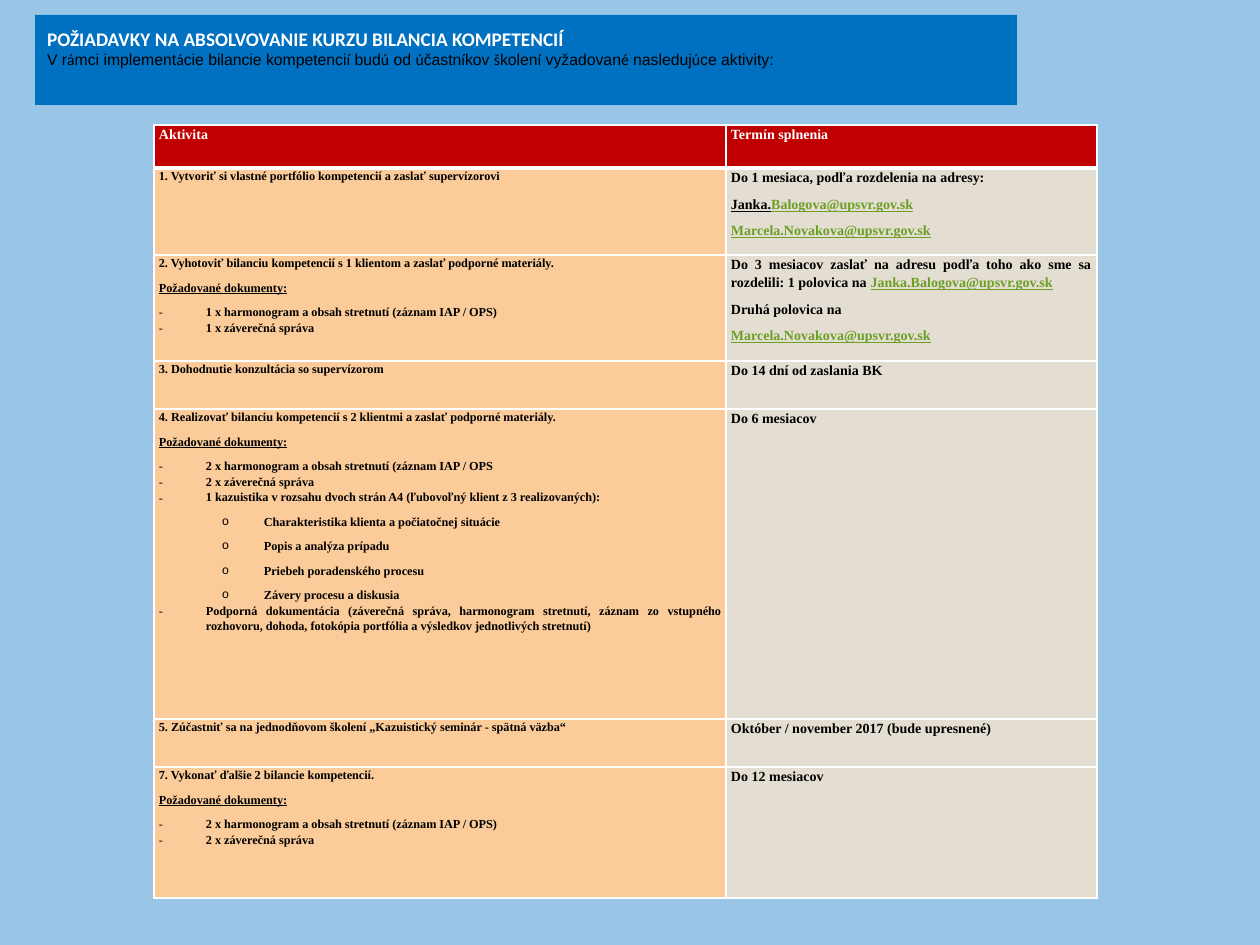
from dataclasses import dataclass
from itertools import groupby
from lxml import etree
from pptx import Presentation, util as u
from pptx.dml.color import RGBColor
from pptx.enum import text
from pptx.oxml.ns import qn


@dataclass(frozen=True)
class Theme:
    back: str = "99C6E6"
    bar: str = "0070C0"
    head: str = "C00000"
    task: str = "FBCC9A"
    term: str = "E3DED1"
    link: str = "6B9F25"
    white: str = "FFFFFF"
    black: str = "000000"
    serif: str = "Times New Roman"
    sans: str = "Arial"
    title: str = "Calibri"
    large: int = 11
    lead: int = 9
    mid: int = 8
    small: int = 7


def px(n):
    return u.Emu(round(n * 914400 / 126))


def tint(font, hue):
    font.color.rgb = RGBColor.from_string(hue)


def paint(fill, hue):
    fill.solid()
    fill.fore_color.rgb = RGBColor.from_string(hue)


def sub(node, tag, **atts):
    return etree.SubElement(node, qn(tag), atts)


class Deck:
    marks = {"-": (47, 47, "Times New Roman"), "o": (105, 42, "Courier New")}

    def __init__(self, theme):
        self.theme = theme
        self.file = Presentation()
        self.file.slide_width, self.file.slide_height = px(1260), px(945)
        self.slide = self.file.slides.add_slide(self.file.slide_layouts[5])
        paint(self.slide.background.fill, theme.back)

    def style(self, par, face, size, hue, bold):
        font = par.font
        font.name, font.size, font.bold = face, u.Pt(size), bold
        tint(font, hue)

    def title(self, box, head, lead):
        t = self.theme
        shape = self.slide.shapes.title
        shape.left, shape.top, shape.width, shape.height = map(px, box)
        paint(shape.fill, t.bar)
        frame = shape.text_frame
        frame.word_wrap = True
        frame.auto_size = text.MSO_AUTO_SIZE.NONE
        frame.vertical_anchor = text.MSO_ANCHOR.TOP
        frame.margin_left = frame.margin_right = frame.margin_top = px(12)
        frame.margin_bottom = 0
        first, second = frame.paragraphs[0], frame.add_paragraph()
        for par in (first, second):
            par.alignment = text.PP_ALIGN.LEFT
        self.style(first, t.title, t.large, t.white, True)
        first.add_run().text = head
        self.style(second, t.sans, t.lead, t.black, False)
        for mark, part in groupby(lead, lambda c: c in "áéíúš"):
            run = second.add_run()
            run.text = "".join(part)
            run.font.name = t.title if mark else t.sans

    def table(self, spot, cols, rows, data):
        t = self.theme
        grid = self.slide.shapes.add_table(
            len(rows), len(cols), *map(px, (*spot, sum(cols), sum(rows)))).table
        grid.horz_banding = False
        for col, wide in zip(grid.columns, cols):
            col.width = px(wide)
        for row, high in zip(grid.rows, rows):
            row.height = px(high)
        for r, line in enumerate(data):
            for c, pars in enumerate(line):
                hue = t.head if r == 0 else (t.task, t.term)[c]
                ink = t.white if r == 0 else t.black
                size = t.small if r and c == 0 else t.mid
                self.cell(grid.cell(r, c), pars, hue, ink, size, r)

    def cell(self, cell, pars, hue, ink, size, row):
        cell.margin_left = cell.margin_right = px(5)
        cell.margin_top = cell.margin_bottom = 0
        paint(cell.fill, hue)
        self.edge(cell, 3 if row == 1 else 1, 3 if row == 0 else 1)
        frame = cell.text_frame
        last = None
        for kind, *runs in pars:
            par = frame.add_paragraph() if last else frame.paragraphs[0]
            tight = last is None or (kind == "-" and last in self.marks)
            par.space_before = u.Pt(0 if tight else 5)
            par.line_spacing = 1.15
            par.alignment = text.PP_ALIGN.JUSTIFY
            if kind in self.marks:
                self.mark(par, kind)
            self.style(par, self.theme.serif, size, ink, True)
            for words in runs:
                run = par.add_run()
                run.text = words
                if "@" in words:
                    tint(run.font, self.theme.link)
                if kind == "u" or "@" in words:
                    run.font.underline = True
            last = kind

    def mark(self, par, sign):
        left, hang, face = self.marks[sign]
        prop = par._p.get_or_add_pPr()
        prop.set("marL", str(px(left)))
        prop.set("indent", str(-px(hang)))
        sub(prop, "a:buFont", typeface=face)
        sub(prop, "a:buChar", char=sign)

    def edge(self, cell, top, base):
        prop = cell._tc.get_or_add_tcPr()
        sides = (("L", 1), ("R", 1), ("T", top), ("B", base))
        for i, (side, wide) in enumerate(sides):
            line = sub(prop, "a:ln" + side, w=str(u.Pt(wide)))
            sub(sub(line, "a:solidFill"), "a:srgbClr", val=self.theme.white)
            prop.insert(i, line)


def plain(words):
    return [("t", words)]


def proof(count, tail=")"):
    return [
        ("u", "Požadované dokumenty:"),
        ("-", f"{count} x harmonogram a obsah stretnutí (záznam IAP / OPS{tail}"),
        ("-", f"{count} x záverečná správa"),
    ]


def main():
    marcela = "Marcela.Novakova@upsvr.gov.sk"
    topics = ("Charakteristika klienta a počiatočnej situácie",
              "Popis a analýza prípadu",
              "Priebeh poradenského procesu",
              "Závery procesu a diskusia")
    data = [
        (plain("Aktivita"), plain("Termín splnenia")),
        (plain("1. Vytvoriť si vlastné portfólio kompetencií a zaslať supervízorovi"),
         [("t", "Do 1 mesiaca, podľa rozdelenia na adresy:"),
          ("u", "Janka.", "Balogova@upsvr.gov.sk"),
          ("t", marcela)]),
        (plain("2. Vyhotoviť bilanciu kompetencií s 1 klientom a zaslať podporné materiály.")
         + proof(1),
         [("t", "Do 3 mesiacov zaslať na adresu podľa toho ako sme sa rozdelili: "
           "1 polovica na ", "Janka.Balogova@upsvr.gov.sk"),
          ("t", "Druhá polovica na"),
          ("t", marcela)]),
        (plain("3. Dohodnutie konzultácia so supervízorom"),
         plain("Do 14 dní od zaslania BK")),
        (plain("4. Realizovať bilanciu kompetencií s 2 klientmi a zaslať podporné materiály.")
         + proof(2, "")
         + [("-", "1 kazuistika v rozsahu dvoch strán A4 "
             "(ľubovoľný klient z 3 realizovaných):")]
         + [("o", topic) for topic in topics]
         + [("-", "Podporná dokumentácia (záverečná správa, harmonogram stretnutí, "
             "záznam zo vstupného rozhovoru, dohoda, fotokópia portfólia "
             "a výsledkov jednotlivých stretnutí)")],
         plain("Do 6 mesiacov")),
        (plain("5. Zúčastniť sa na jednodňovom školení „Kazuistický seminár - spätná väzba“"),
         plain("Október / november 2017 (bude upresnené)")),
        (plain("7. Vykonať ďalšie 2 bilancie kompetencií.") + proof(2),
         plain("Do 12 mesiacov")),
    ]
    deck = Deck(Theme())
    deck.title((35, 15, 982, 90),
               "POŽIADAVKY NA ABSOLVOVANIE KURZU BILANCIA KOMPETENCIÍ",
               "V rámci implementácie bilancie kompetencií budú od účastníkov "
               "školení vyžadované nasledujúce aktivity:")
    deck.table((154, 125), (572, 371), (43, 87, 106, 48, 310, 48, 131), data)
    deck.file.save("out.pptx")


if __name__ == "__main__":
    main()
